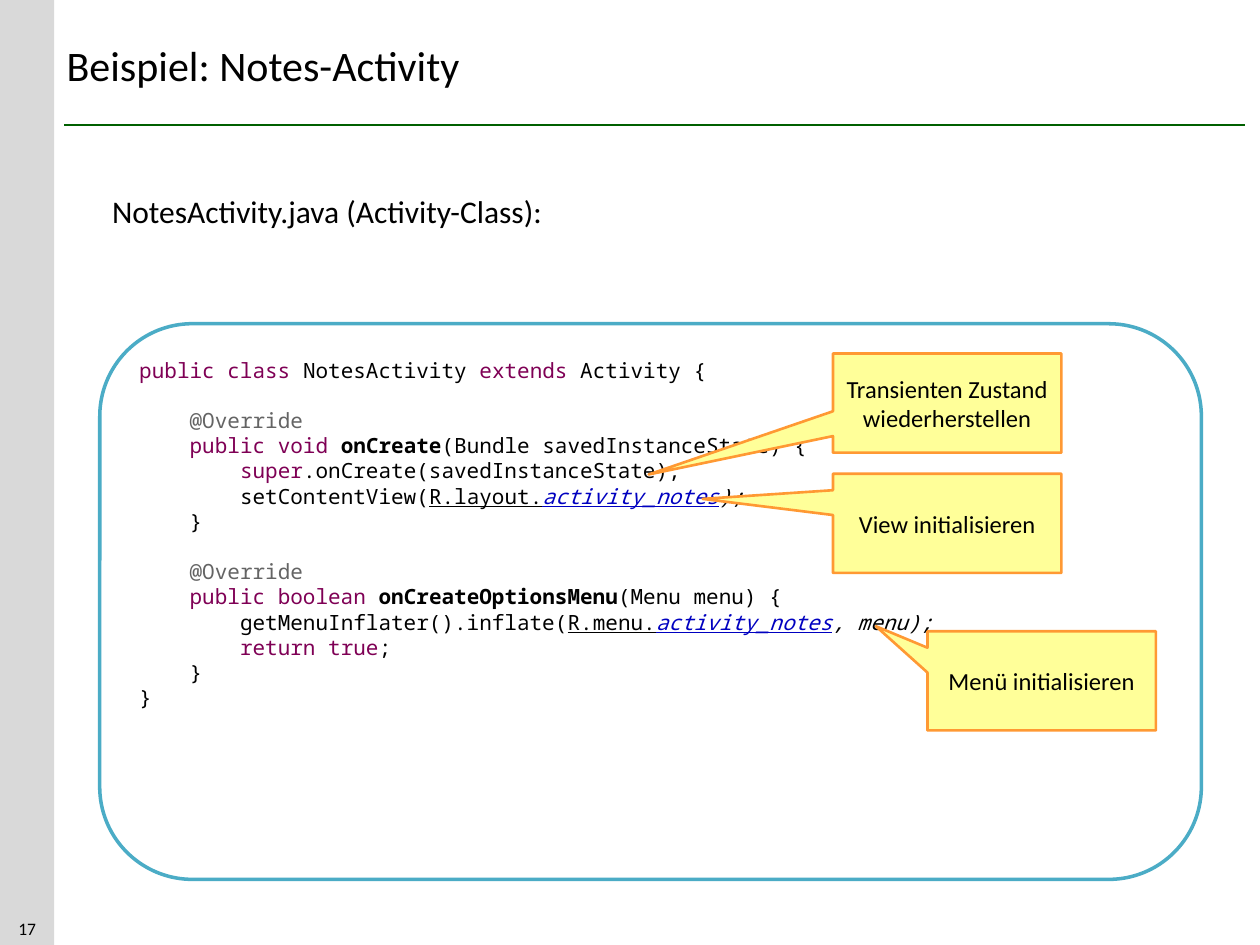
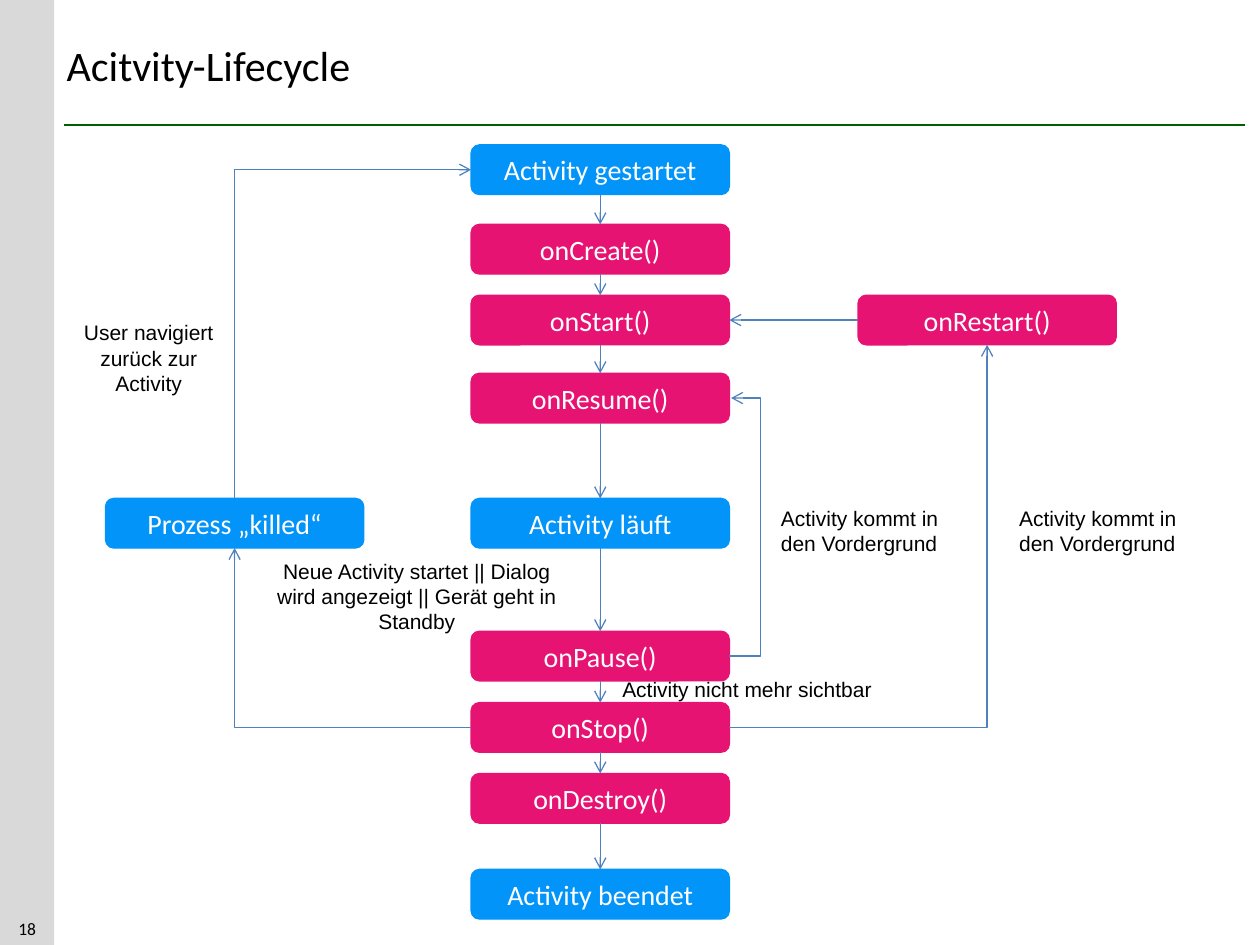
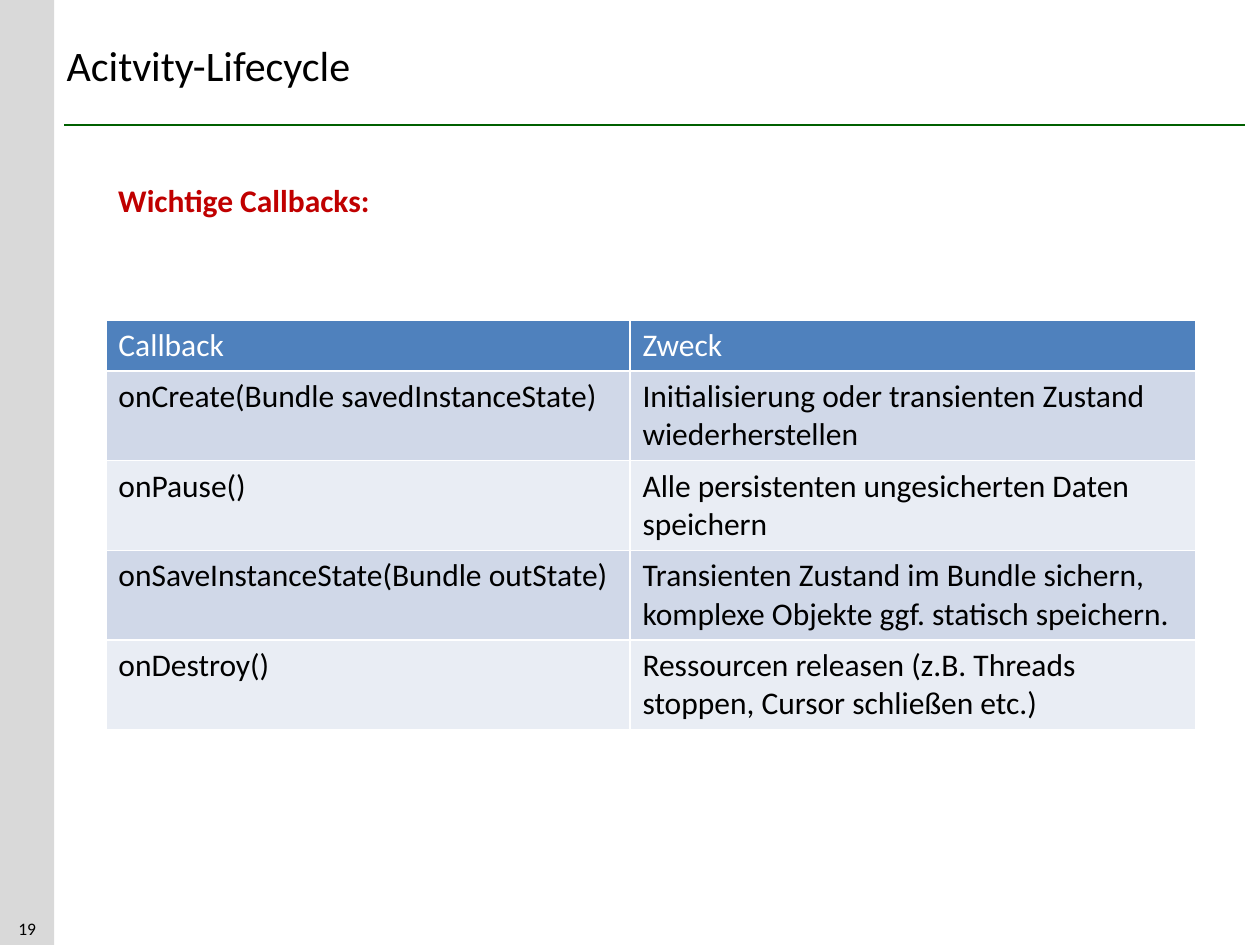
from dataclasses import dataclass
from itertools import pairwise
from typing import NamedTuple

from lxml.etree import SubElement
from pptx import Presentation
from pptx.dml.color import RGBColor
from pptx.enum.shapes import MSO_CONNECTOR, MSO_SHAPE
from pptx.enum.text import MSO_ANCHOR, PP_ALIGN
from pptx.oxml.ns import qn
from pptx.shapes.autoshape import Shape
from pptx.shapes.connector import Connector
from pptx.slide import Slide
from pptx.util import Pt

BLACK = RGBColor(0x00, 0x00, 0x00)
WHITE = RGBColor(0xFF, 0xFF, 0xFF)
GREY = RGBColor(0xD9, 0xD9, 0xD9)
GREEN = RGBColor(0x00, 0x60, 0x00)
TEAL = RGBColor(0x4B, 0xAC, 0xC6)
CREAM = RGBColor(0xFF, 0xFF, 0x99)
AMBER = RGBColor(0xFF, 0x99, 0x33)
PLUM = RGBColor(0x7F, 0x00, 0x55)
ASH = RGBColor(0x64, 0x64, 0x64)
NAVY = RGBColor(0x00, 0x00, 0xC0)
AZURE = RGBColor(0x02, 0x94, 0xF8)
PINK = RGBColor(0xE7, 0x13, 0x73)
STEEL = RGBColor(0x4F, 0x81, 0xBD)
RED = RGBColor(0xC0, 0x00, 0x00)
DARK = RGBColor(0xD0, 0xD8, 0xE8)
LIGHT = RGBColor(0xE9, 0xED, 0xF4)

SANS, ARIAL, MONO = "Calibri", "Arial", "Noto Sans Mono"
CENTER, LEFT = PP_ALIGN.CENTER, PP_ALIGN.LEFT
TOP, MIDDLE, BOTTOM = MSO_ANCHOR.TOP, MSO_ANCHOR.MIDDLE, MSO_ANCHOR.BOTTOM

WIDE, HIGH = 720, 540
BAND = 31
STEP, PITCH = 28.8, 14.4
NODE_W, NODE_H = 147.6, 28.4
MID_X, KILL_X, BACK_X = 269.2, 60.3, 490.3


class Area(NamedTuple):
    """A rectangle in points."""

    x: float
    y: float
    w: float
    h: float

    def pts(self) -> list[Pt]:
        """Give the four lengths as Pt."""
        return [Pt(v) for v in self]


class Bit(NamedTuple):
    """A piece of code in one format."""

    text: str
    ink: RGBColor = BLACK
    bold: bool = False
    slant: bool = False
    under: bool = False


@dataclass
class Line:
    """A line of code with its depth and the empty lines above it."""

    depth: int
    bits: list[Bit]
    gap: int = 0


class Hint(NamedTuple):
    """A callout with the offset of its tip."""

    text: str
    x: float
    y: float
    tip: tuple[float, float]


class Node(NamedTuple):
    """A state or callback in the lifecycle."""

    text: str
    x: float
    y: float
    fill: RGBColor


class Note(NamedTuple):
    """A label beside the arrows."""

    text: str
    area: Area
    align: PP_ALIGN = LEFT


OVERRIDE = Bit("@Override", ASH)
LINK = Bit("activity_notes", NAVY, slant=True, under=True)
CODE = [
    Line(0, [Bit("public class ", PLUM), Bit("NotesActivity "),
             Bit("extends", PLUM), Bit(" Activity {")]),
    Line(1, [OVERRIDE], gap=1),
    Line(1, [Bit("public void ", PLUM), Bit("onCreate", bold=True),
             Bit("(Bundle savedInstanceState) {")]),
    Line(2, [Bit("super", PLUM), Bit(".onCreate(savedInstanceState);")]),
    Line(2, [Bit("setContentView("), Bit("R.layout.", under=True), LINK,
             Bit(");", slant=True)]),
    Line(1, [Bit("}")]),
    Line(1, [OVERRIDE], gap=1),
    Line(1, [Bit("public boolean ", PLUM), Bit("onCreateOptionsMenu", bold=True),
             Bit("(Menu menu) {")]),
    Line(2, [Bit("getMenuInflater().inflate("), Bit("R.menu.", under=True), LINK,
             Bit(", menu);", slant=True)]),
    Line(2, [Bit("return true", PLUM), Bit(";")]),
    Line(1, [Bit("}")]),
    Line(0, [Bit("}")]),
]
HINTS = [
    Hint("Transienten Zustand wiederherstellen", 476, 202, (-1.307, 0.72)),
    Hint("View initialisieren", 476, 270.7, (-1.071, -0.246)),
    Hint("Menü initialisieren", 530, 360.7, (-0.726, -0.55)),
]
CHAIN = [
    Node("Activity gestartet", MID_X, 82.8, AZURE),
    Node("onCreate()", MID_X, 128.2, PINK),
    Node("onStart()", MID_X, 168.7, PINK),
    Node("onResume()", MID_X, 213.3, PINK),
    Node("Activity läuft", MID_X, 284.8, AZURE),
    Node("onPause()", MID_X, 360.7, PINK),
    Node("onStop()", MID_X, 401.5, PINK),
    Node("onDestroy()", MID_X, 442, PINK),
    Node("Activity beendet", MID_X, 496.8, AZURE),
]
KILLED = Node("Prozess „killed“", KILL_X, 284.8, AZURE)
RESTART = Node("onRestart()", BACK_X, 168.7, PINK)
FRONT = "Activity kommt in den Vordergrund"
NOTES = [
    Note("User navigiert zurück zur Activity", Area(36, 179.3, 98, 51), CENTER),
    Note("Neue Activity startet || Dialog wird angezeigt || Gerät geht in Standby",
         Area(144.7, 315.4, 187, 51), CENTER),
    Note(FRONT, Area(439.2, 285.1, 119, 36)),
    Note(FRONT, Area(575.3, 285.1, 119, 36)),
    Note("Activity nicht mehr sichtbar", Area(348.5, 383.3, 209.5, 22)),
]
ROWS = [
    ("Callback", "Zweck"),
    ("onCreate(Bundle savedInstanceState)",
     "Initialisierung oder transienten Zustand wiederherstellen"),
    ("onPause()", "Alle persistenten ungesicherten Daten speichern"),
    ("onSaveInstanceState(Bundle outState)",
     "Transienten Zustand im Bundle sichern, komplexe Objekte ggf. statisch speichern."),
    ("onDestroy()", "Ressourcen releasen (z.B. Threads stoppen, Cursor schließen etc.)"),
]


def write(para, text: str, *, size: float = 18, face: str = SANS,
          ink: RGBColor = BLACK, bold: bool = False, slant: bool = False,
          under: bool = False, align: PP_ALIGN = LEFT) -> None:
    """Add a formatted run to a paragraph."""
    para.alignment = align
    run = para.add_run()
    run.text = text
    font = run.font
    font.size, font.name, font.color.rgb = Pt(size), face, ink
    font.bold, font.italic, font.underline = bold, slant, under


def label(slide: Slide, area: Area, text: str, anchor: MSO_ANCHOR = TOP,
          **form) -> None:
    """Place a wrapped text box."""
    frame = slide.shapes.add_textbox(*area.pts()).text_frame
    frame.word_wrap = True
    frame.vertical_anchor = anchor
    write(frame.paragraphs[0], text, **form)


def block(slide: Slide, kind: MSO_SHAPE, area: Area, fill: RGBColor,
          edge: RGBColor, width: float = 0, anchor: MSO_ANCHOR = MIDDLE) -> Shape:
    """Draw a filled preset shape."""
    shape = slide.shapes.add_shape(kind, *area.pts())
    shape.shadow.inherit = False
    shape.fill.solid()
    shape.fill.fore_color.rgb = fill
    shape.line.color.rgb = edge
    shape.line.width = Pt(width)
    shape.text_frame.word_wrap = True
    shape.text_frame.vertical_anchor = anchor
    return shape


def wire(slide: Slide, start: tuple[float, float], end: tuple[float, float],
         kind: MSO_CONNECTOR = MSO_CONNECTOR.STRAIGHT, ink: RGBColor = STEEL,
         width: float = 0.75, arrow: bool = True) -> Connector:
    """Draw a connector, by default with an arrowhead at its end."""
    line = slide.shapes.add_connector(kind, *map(Pt, start + end))
    line.line.color.rgb = ink
    line.line.width = Pt(width)
    props = line._element.spPr
    if arrow:
        SubElement(props.find(qn("a:ln")), qn("a:tailEnd"), type="arrow")
    SubElement(props, qn("a:effectLst"))
    return line


def join(slide: Slide, first: Shape, out: int, last: Shape, into: int) -> None:
    """Tie two shapes with a straight arrow."""
    line = wire(slide, (0, 0), (0, 0))
    line.begin_connect(first, out)
    line.end_connect(last, into)


def elbow(slide: Slide, start: tuple[float, float], end: tuple[float, float],
          upward: bool = False) -> None:
    """Draw an arrow with one corner, level first or else up and then right."""
    if upward:
        mid_x, mid_y = (start[0] + end[0]) / 2, (start[1] + end[1]) / 2
        half_w, half_h = (start[1] - end[1]) / 2, (end[0] - start[0]) / 2
        start = mid_x - half_w, mid_y - half_h
        end = mid_x + half_w, mid_y + half_h
    line = wire(slide, start, end, MSO_CONNECTOR.ELBOW)
    props = line._element.spPr
    props.find(qn("a:prstGeom")).set("prst", "bentConnector2")
    if upward:
        props.find(qn("a:xfrm")).set("rot", "16200000")


def loop(slide: Slide, start: tuple[float, float], rise: float, reach: int) -> None:
    """Draw an arrow that swings out to the right and back."""
    x, y = start
    line = wire(slide, start, (x + 1, y - rise), MSO_CONNECTOR.ELBOW)
    guides = line._element.spPr.find(qn("a:prstGeom")).get_or_add_avLst()
    SubElement(guides, qn("a:gd"), name="adj1", fmla=f"val {reach * 100000}")


def page(deck, number: int, title: str) -> Slide:
    """Add a slide with rule, band, number and title."""
    slide = deck.slides.add_slide(deck.slide_layouts[6])
    wire(slide, (36.8, 71.4), (711.4, 71.4), ink=GREEN, width=1, arrow=False)
    band = block(slide, MSO_SHAPE.RECTANGLE, Area(0, 0, BAND, HIGH), GREY, GREY)
    band.line.fill.background()
    label(slide, Area(0, 519, BAND, 21), str(number), BOTTOM, size=10, align=CENTER)
    label(slide, Area(BAND, 0, 607, 73.4), title, MIDDLE, size=24)
    return slide


def listing(slide: Slide) -> None:
    """Show the class with its callouts."""
    panel = block(slide, MSO_SHAPE.ROUNDED_RECTANGLE, Area(57, 185, 629.5, 317.5),
                  WHITE, TEAL, 2, TOP)
    frame = panel.text_frame
    for pos, line in enumerate(CODE):
        para = frame.add_paragraph() if pos else frame.paragraphs[0]
        para.space_before = Pt(line.gap * PITCH)
        props = para._p.get_or_add_pPr()
        props.set("marL", str(Pt(line.depth * STEP)))
        props.set("indent", "0")
        for bit in line.bits:
            write(para, bit.text, size=12, face=MONO, ink=bit.ink, bold=bit.bold,
                  slant=bit.slant, under=bit.under)
    label(slide, Area(57, 106, 280, 29), "NotesActivity.java (Activity-Class):")
    for hint in HINTS:
        shape = block(slide, MSO_SHAPE.RECTANGULAR_CALLOUT,
                      Area(hint.x, hint.y, 130.5, 56.7), CREAM, AMBER, 1.5)
        shape.adjustments[0], shape.adjustments[1] = hint.tip
        write(shape.text_frame.paragraphs[0], hint.text, size=14, align=CENTER)


def cycle(slide: Slide) -> None:
    """Show the lifecycle as a flow chart."""
    shapes = {}
    for node in [*CHAIN, KILLED, RESTART]:
        shape = block(slide, MSO_SHAPE.ROUNDED_RECTANGLE,
                      Area(node.x, node.y, NODE_W, NODE_H), node.fill, node.fill)
        write(shape.text_frame.paragraphs[0], node.text, size=16, ink=WHITE,
              align=CENTER)
        shapes[node.text] = shape
    for first, last in pairwise(CHAIN):
        join(slide, shapes[first.text], 2, shapes[last.text], 0)
    begin, start, resume, pause, stop = (CHAIN[i] for i in (0, 2, 3, 5, 6))
    half_w, half_h = NODE_W / 2, NODE_H / 2
    right = MID_X + NODE_W
    loop(slide, (right, pause.y + half_h), pause.y - resume.y, 18)
    elbow(slide, (right, stop.y + half_h), (BACK_X + half_w, RESTART.y + NODE_H))
    join(slide, shapes[RESTART.text], 1, shapes[start.text], 3)
    elbow(slide, (MID_X, stop.y + half_h), (KILL_X + half_w, KILLED.y + NODE_H))
    elbow(slide, (KILL_X + half_w, KILLED.y), (MID_X, begin.y + half_h), upward=True)
    for note in NOTES:
        label(slide, note.area, note.text, size=12, face=ARIAL, align=note.align)


def calls(slide: Slide) -> None:
    """Show the table of callbacks."""
    area = Area(60.5, 182.9, 622.8, 234)
    table = slide.shapes.add_table(len(ROWS), 2, *area.pts()).table
    for col, width in zip(table.columns, (299.5, 323.3)):
        col.width = Pt(width)
    for pos, row in enumerate(ROWS):
        table.rows[pos].height = Pt(51.2 if pos else 29.2)
        fill = (DARK if pos % 2 else LIGHT) if pos else STEEL
        for col, text in enumerate(row):
            cell = table.cell(pos, col)
            cell.fill.solid()
            cell.fill.fore_color.rgb = fill
            write(cell.text_frame.paragraphs[0], text, ink=BLACK if pos else WHITE)
    label(slide, Area(60.5, 100, 299.5, 29), "Wichtige Callbacks:", ink=RED, bold=True)


def main() -> None:
    """Build and save the deck."""
    deck = Presentation()
    deck.slide_width, deck.slide_height = Pt(WIDE), Pt(HIGH)
    listing(page(deck, 17, "Beispiel: Notes-Activity"))
    cycle(page(deck, 18, "Acitvity-Lifecycle"))
    calls(page(deck, 19, "Acitvity-Lifecycle"))
    deck.save("out.pptx")


if __name__ == "__main__":
    main()
